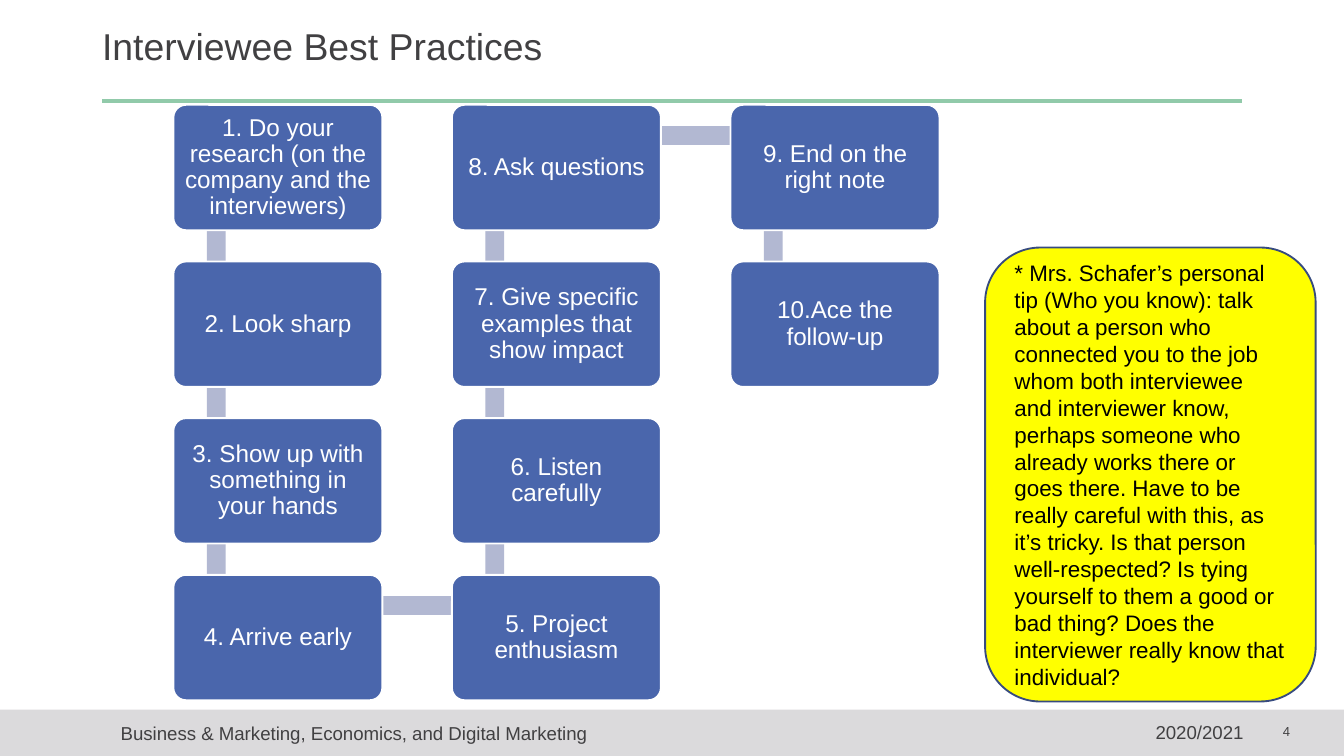
from collections import namedtuple
from itertools import pairwise
from pptx import Presentation
from pptx.dml.color import RGBColor
from pptx.enum.shapes import MSO_CONNECTOR, MSO_SHAPE
from pptx.enum.text import MSO_ANCHOR, PP_ALIGN
from pptx.oxml.ns import qn
from pptx.util import Inches, Pt
from lxml.etree import SubElement

Box = namedtuple("Box", "x y w h")
COLORS = {
    "ink": "414042", "footer": "DBDADC", "rule": "91CAAA", "card": "4A66AC",
    "bar": "B2B8D2", "white": "FFFFFF", "tip": "FFFF00", "edge": "374B7F", "black": "000000",
}
MARGINS = ("margin_left", "margin_top", "margin_right", "margin_bottom")
COLS, ROWS = 3, 4
CARD_W, CARD_H = 0.75, 0.8
STEPS = [
    "1. Do your research (on the company and the interviewers)",
    "2. Look sharp",
    "3. Show up with something in your hands",
    "4. Arrive early",
    "5. Project enthusiasm",
    "6. Listen carefully",
    "7. Give specific examples that show impact",
    "8. Ask questions",
    "9. End on the right note",
    "10.Ace the follow-up",
]
TIP = (
    "* Mrs. Schafer’s personal tip (Who you know): talk about a person who connected you "
    "to the job whom both interviewee and interviewer know, perhaps someone who already "
    "works there or goes there. Have to be really careful with this, as it’s tricky. Is that "
    "person well-respected? Is tying yourself to them a good or bad thing? Does the "
    "interviewer really know that individual?"
)


def color(name):
    return RGBColor.from_string(COLORS[name])


def apply(obj, formats):
    for name, value in formats.items():
        setattr(obj, name, value)


def percent(prs, x, y, w, h):
    W, H = prs.slide_width, prs.slide_height
    return Box(*(int(v * size / 100) for v, size in zip((x, y, w, h), (W, H, W, H))))


def write(sp, text, size, ink, align=PP_ALIGN.LEFT, inset=None, spacing=1.0, **frame):
    tf = sp.text_frame
    margins = {} if inset is None else dict.fromkeys(MARGINS, Inches(inset))
    apply(tf, {"word_wrap": True, **margins, **frame})
    p = tf.paragraphs[0]
    apply(p, {"alignment": align, "line_spacing": spacing})
    r = p.add_run()
    r.text = text
    apply(r.font, {"name": "Arial", "size": Pt(size)})
    r.font.color.rgb = color(ink)


def shape(s, kind, box, fill, line=None):
    sp = s.shapes.add_shape(kind, *map(int, box))
    sp.shadow.inherit = False
    sp.fill.solid()
    sp.fill.fore_color.rgb = color(fill)
    if line:
        sp.line.color.rgb = color(line)
        sp.line.width = Pt(1)
    else:
        sp.line.fill.background()
    return sp


def header(s, box):
    sp = s.shapes.title
    apply(sp, {"left": box.x, "top": box.y, "width": box.w, "height": int(box.h * 0.7)})
    write(sp, "Interviewee Best Practices", 20, "ink", inset=0, spacing=0.9,
          vertical_anchor=MSO_ANCHOR.MIDDLE)
    y = box.y + box.h
    rule = s.shapes.add_connector(MSO_CONNECTOR.STRAIGHT, box.x, y, box.x + box.w, y)
    rule.line.color.rgb = color("rule")
    rule.line.width = Pt(2.25)
    SubElement(rule._element.spPr, qn("a:effectLst"))


def footer(s, box):
    shape(s, MSO_SHAPE.RECTANGLE, box, "footer")
    plain = {"word_wrap": False}
    number = {"inset": 0, "align": PP_ALIGN.RIGHT}
    for text, size, x, y, w, h, formats in (
        ("4", 7, 0.91, 0.29, 0.05, 0.34, number),
        ("Business & Marketing, Economics, and Digital Marketing", 10,
         0.08, 0.12, 0.37, 0.78, plain),
        ("2020/2021", 10, 0.85, 0.09, 0.09, 0.78, plain),
    ):
        tb = s.shapes.add_textbox(int(box.x + x * box.w), int(box.y + y * box.h),
                                  int(w * box.w), int(h * box.h))
        write(tb, text, size, "ink", **formats)


def step_flow(s, box):
    dx = box.w / (COLS - 1 + CARD_W)
    dy = box.h / (ROWS - 1 + CARD_H)
    w, h = dx * CARD_W, dy * CARD_H
    thick = 0.15 * h
    cards = []
    for i in range(len(STEPS)):
        col, row = divmod(i, ROWS)
        row = ROWS - 1 - row if col % 2 else row
        cards.append(Box(box.x + col * dx, box.y + row * dy, w, h))
    for a, b in pairwise(cards):
        if a.x == b.x:
            bar = Box(a.x + 0.16 * w, min(a.y, b.y) + 0.25 * h, thick, dy)
        else:
            bar = Box(a.x + 0.2 * w, a.y + 0.17 * h, dx, thick)
        shape(s, MSO_SHAPE.RECTANGLE, bar, "bar")
    for text, card in zip(STEPS, cards):
        sp = shape(s, MSO_SHAPE.ROUNDED_RECTANGLE, card, "card", "white")
        sp.adjustments[0] = 0.1
        write(sp, text, 13, "white", PP_ALIGN.CENTER, inset=0.05, spacing=0.9,
              vertical_anchor=MSO_ANCHOR.MIDDLE)


def tip_panel(s, box):
    sp = shape(s, MSO_SHAPE.ROUNDED_RECTANGLE, box, "tip", "edge")
    write(sp, TIP, 12, "black", vertical_anchor=MSO_ANCHOR.MIDDLE)


def main():
    prs = Presentation()
    prs.slide_width = Inches(10)
    prs.slide_height = prs.slide_width * 9 // 16
    s = prs.slides.add_slide(prs.slide_layouts[5])
    footer(s, percent(prs, 0, 93.87, 100, 6.13))
    header(s, percent(prs, 7.6, 2.67, 84.8, 10.66))
    step_flow(s, percent(prs, 12.9, 13.87, 57, 78.76))
    tip_panel(s, percent(prs, 73.3, 32.75, 24.6, 60.05))
    prs.save("out.pptx")


if __name__ == "__main__":
    main()
